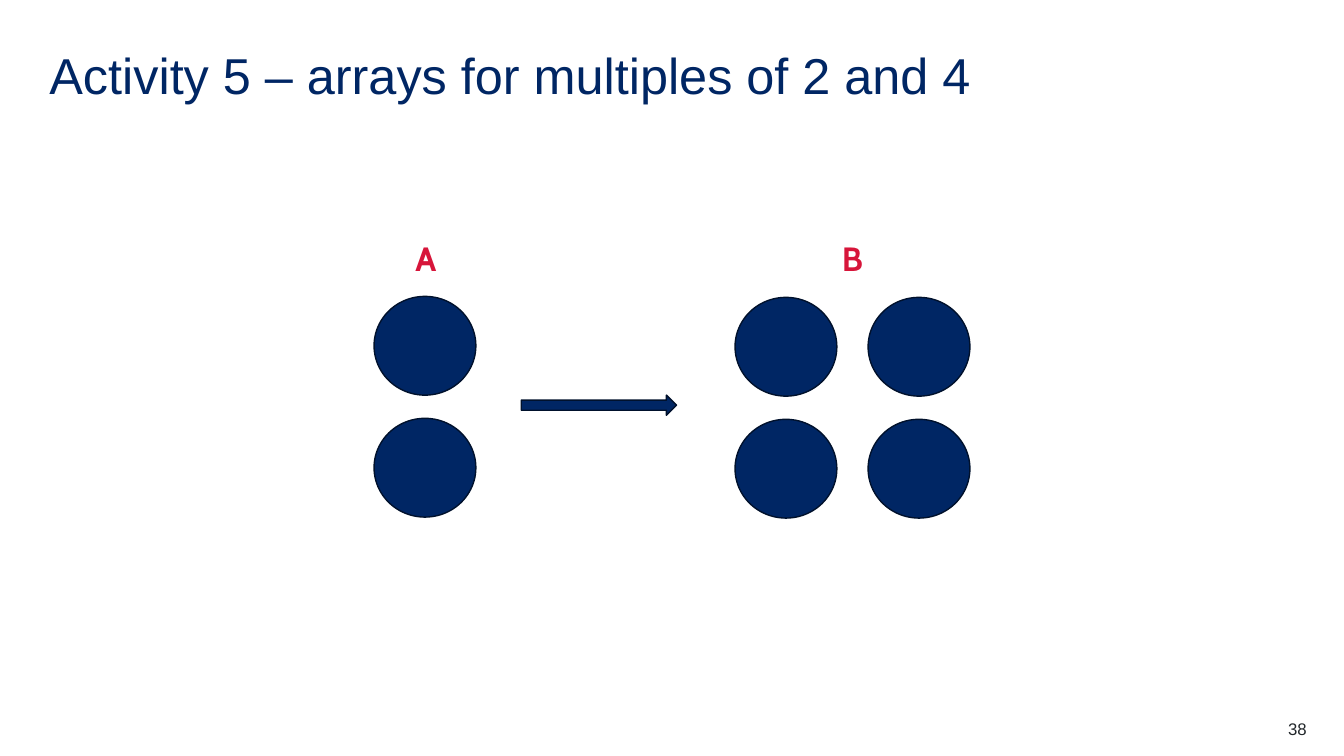
from pptx import Presentation
from pptx.dml.color import RGBColor
from pptx.enum import shapes, text
from pptx.util import Inches, Pt

NAVY, EDGE, RED, GREY = "002664", "00112C", "D7153A", "22272B"
TITLE = "Activity 5 – arrays for multiples of 2 and 4"
PAGE = "38"
ARRAYS = [
    {"label": "A", "label_left": 4.12, "left": 3.71, "top": 2.94, "columns": 1},
    {"label": "B", "label_left": 8.35, "left": 7.29, "top": 2.95, "columns": 2},
]
ROWS = 2
DOT_W, DOT_H = 1.01, 0.98
STEP_X, STEP_Y = 1.32, 1.21
ARROW = (5.17, 3.92, 1.54, 0.2)


def rgb(value):
    return RGBColor.from_string(value)


def add_run(p, content, size, font, color, bold=False):
    r = p.add_run()
    r.text = content
    r.font.size = Pt(size)
    r.font.name = font
    r.font.bold = bold
    r.font.color.rgb = rgb(color)


def add_solid(s, kind, box):
    sp = s.shapes.add_shape(kind, *map(Inches, box))
    sp.shadow.inherit = False
    sp.fill.solid()
    sp.fill.fore_color.rgb = rgb(NAVY)
    sp.line.color.rgb = rgb(EDGE)
    sp.line.width = Pt(1)


def add_label(s, box, content, size, font, color, bold=False, align=text.PP_ALIGN.LEFT):
    tf = s.shapes.add_textbox(*map(Inches, box)).text_frame
    tf.word_wrap = True
    tf.margin_left = tf.margin_right = tf.margin_top = tf.margin_bottom = 0
    p = tf.paragraphs[0]
    p.alignment = align
    add_run(p, content, size, font, color, bold)


def add_title(s):
    sp = s.shapes.title
    sp.left, sp.top, sp.width, sp.height = map(Inches, (0.39, 0.48, 12.56, 0.6))
    tf = sp.text_frame
    tf.word_wrap = True
    tf.auto_size = text.MSO_AUTO_SIZE.NONE
    tf.vertical_anchor = text.MSO_ANCHOR.MIDDLE
    p = tf.paragraphs[0]
    p.alignment = text.PP_ALIGN.LEFT
    p.line_spacing = 0.9
    add_run(p, TITLE, 36, "Arial", NAVY)


def main():
    prs = Presentation()
    prs.slide_width, prs.slide_height = Inches(13.33), Inches(7.5)
    s = prs.slides.add_slide(prs.slide_layouts[5])
    add_title(s)
    for array in ARRAYS:
        for column in range(array["columns"]):
            for row in range(ROWS):
                left = array["left"] + column * STEP_X
                top = array["top"] + row * STEP_Y
                add_solid(s, shapes.MSO_SHAPE.OVAL, (left, top, DOT_W, DOT_H))
    add_solid(s, shapes.MSO_SHAPE.RIGHT_ARROW, ARROW)
    for array in ARRAYS:
        box = (array["label_left"], 2.36, 0.5, 0.4)
        add_label(s, box, array["label"], 24, "Cabin", RED, bold=True)
    add_label(s, (12.17, 7.13, 0.79, 0.2), PAGE, 12, "Arial", GREY,
              align=text.PP_ALIGN.RIGHT)
    prs.save("out.pptx")


if __name__ == "__main__":
    main()
